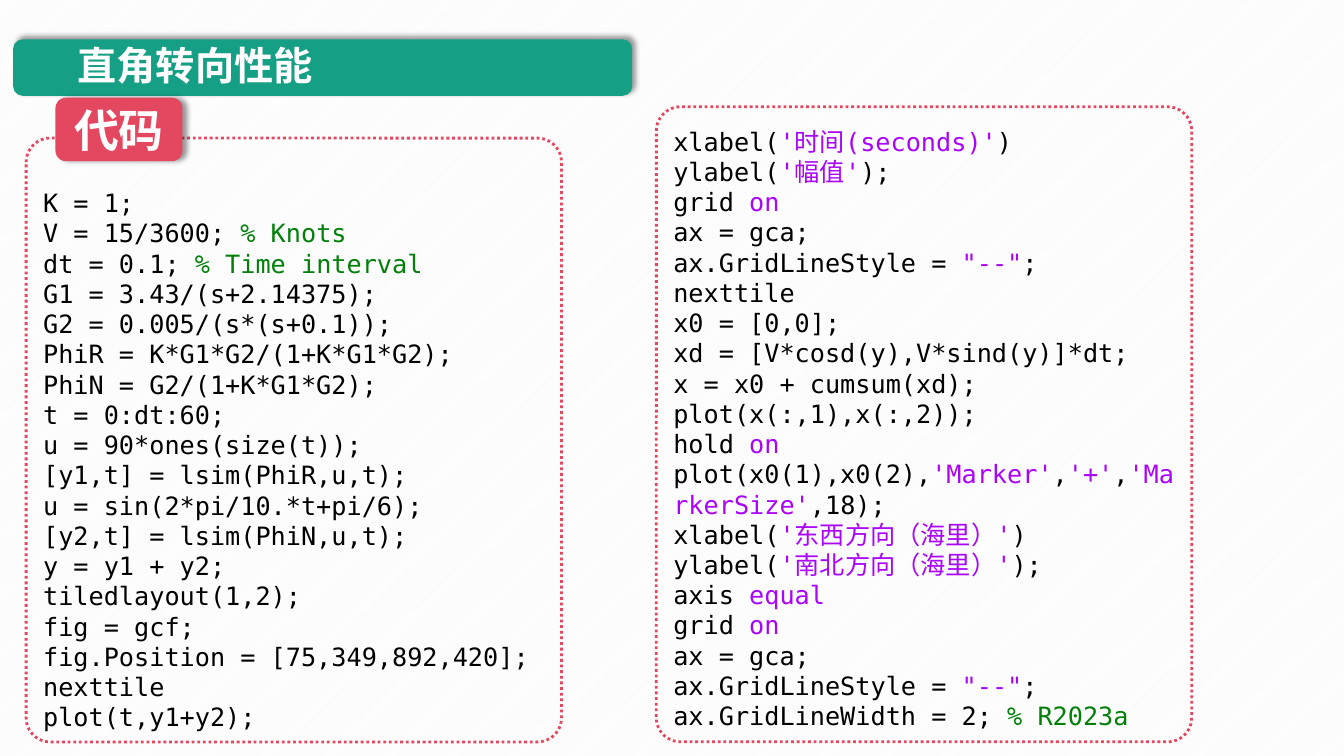
from lxml import etree
from pptx import Presentation
from pptx.dml.color import RGBColor
from pptx.enum.dml import MSO_LINE, MSO_PATTERN
from pptx.enum.shapes import MSO_SHAPE
from pptx.enum.text import MSO_ANCHOR, MSO_AUTO_SIZE, PP_ALIGN
from pptx.oxml import parse_xml
from pptx.oxml.ns import nsdecls, qn
from pptx.util import Inches, Pt

ROUNDED = MSO_SHAPE.ROUNDED_RECTANGLE
DOTTED = MSO_LINE.ROUND_DOT
HATCH = MSO_PATTERN.LIGHT_UPWARD_DIAGONAL
LEFT, CENTER = PP_ALIGN.LEFT, PP_ALIGN.CENTER
TOP, MIDDLE = MSO_ANCHOR.TOP, MSO_ANCHOR.MIDDLE
NO_AUTOFIT = MSO_AUTO_SIZE.NONE

WIDTH, HEIGHT = Inches(13.33), Inches(7.5)
CJK, MONO, SANS = "Noto Sans CJK SC", "DejaVu Sans Mono", "Roboto"
COLORS = {
    "teal": "159F84",
    "red": "E44860",
    "white": "FFFFFF",
    "hatch": "F2F2F2",
    "shadow": "000000",
    "code": "000000",
    "comment": "028009",
    "string": "AA04F9",
}
COMMAND_WORDS = ("on", "equal")

SIMULATION_CODE = """K = 1;
V = 15/3600; |% Knots
dt = 0.1; |% Time interval
G1 = 3.43/(s+2.14375);
G2 = 0.005/(s*(s+0.1));
PhiR = K*G1*G2/(1+K*G1*G2);
PhiN = G2/(1+K*G1*G2);
t = 0:dt:60;
u = 90*ones(size(t));
[y1,t] = lsim(PhiR,u,t);
u = sin(2*pi/10.*t+pi/6);
[y2,t] = lsim(PhiN,u,t);
y = y1 + y2;
tiledlayout(1,2);
fig = gcf;
fig.Position = [75,349,892,420];
nexttile
plot(t,y1+y2);"""

PLOT_CODE = """xlabel(|'时间(seconds)'|)
ylabel(|'幅值'|);
grid |on
ax = gca;
ax.GridLineStyle = |"--"|;
nexttile
x0 = [0,0];
xd = [V*cosd(y),V*sind(y)]*dt;
x = x0 + cumsum(xd);
plot(x(:,1),x(:,2));
hold |on
plot(x0(1),x0(2),|'Marker'|,|'+'|,|'MarkerSize'|,18);
xlabel(|'东西方向（海里）'|)
ylabel(|'南北方向（海里）'|);
axis |equal
grid |on
ax = gca;
ax.GridLineStyle = |"--"|;
ax.GridLineWidth = 2; |% R2023a"""


def rgb(name):
    return RGBColor.from_string(COLORS[name])


def area(left, top, width, height):
    return [int(size * share / 100) for size, share in
            ((WIDTH, left), (HEIGHT, top), (WIDTH, width), (HEIGHT, height))]


def add_run(p, text, size, font, color, bold=False):
    r = p.add_run()
    r.text = text
    r.font.size = Pt(size)
    r.font.name = font
    r.font.bold = bold
    r.font.color.rgb = rgb(color)
    etree.SubElement(r.font._element, qn("a:ea")).set("typeface", CJK)


def format_frame(sp, anchor, top=0.05, bottom=0.05):
    tf = sp.text_frame
    tf.word_wrap = True
    tf.auto_size = NO_AUTOFIT
    tf.vertical_anchor = anchor
    tf.margin_left = tf.margin_right = Inches(0.1)
    tf.margin_top, tf.margin_bottom = Inches(top), Inches(bottom)
    return tf


def add_banner(shapes, box, color, direction):
    sp = shapes.add_shape(ROUNDED, *area(*box))
    sp.fill.solid()
    sp.fill.fore_color.rgb = rgb(color)
    sp.line.fill.background()
    sp._element.spPr.append(parse_xml(
        f'<a:effectLst {nsdecls("a")}><a:outerShdw blurRad="{Pt(4)}" '
        f'dist="{Pt(3)}" dir="{direction * 60000}" algn="ctr" rotWithShape="0">'
        f'<a:srgbClr val="{COLORS["shadow"]}"><a:alpha val="40000"/></a:srgbClr>'
        '</a:outerShdw></a:effectLst>'))
    return sp


def add_title(s, text):
    sp = s.shapes.title
    bar = add_banner(s.shapes, (0.98, 5.2, 46.06, 7.47), "teal", 315)
    sp._element.addprevious(bar._element)
    sp.left, sp.top, sp.width, sp.height = area(5.03, 4.8, 40.81, 7.6)
    p = format_frame(sp, TOP).paragraphs[0]
    p.alignment = LEFT
    add_run(p, text, 28, CJK, "white", True)


def add_tag(shapes, text):
    sp = add_banner(shapes, (4.13, 12.93, 9.45, 8.4), "red", 0)
    p = format_frame(sp, MIDDLE).paragraphs[0]
    p.alignment = CENTER
    add_run(p, text, 32, SANS, "white", True)


def token_color(token):
    if token.startswith("%"):
        return "comment"
    if token[0] in "'\"" or token in COMMAND_WORDS:
        return "string"
    return "code"


def add_code(shapes, box, code, top):
    sp = shapes.add_shape(ROUNDED, *area(*box))
    sp.adjustments[0] = 0.045
    sp.shadow.inherit = False
    sp.fill.background()
    sp.line.color.rgb = rgb("red")
    sp.line.width = Pt(2)
    sp.line.dash_style = DOTTED
    tf = format_frame(sp, TOP, top, 0)
    for i, line in enumerate(code.splitlines()):
        p = tf.add_paragraph() if i else tf.paragraphs[0]
        p.alignment = LEFT
        for token in line.split("|"):
            add_run(p, token, 18, MONO, token_color(token))


def main():
    prs = Presentation()
    prs.slide_width, prs.slide_height = WIDTH, HEIGHT
    s = prs.slides.add_slide(prs.slide_layouts[5])
    fill = s.background.fill
    fill.patterned()
    fill.pattern = HATCH
    fill.fore_color.rgb = rgb("hatch")
    fill.back_color.rgb = rgb("white")
    add_title(s, "直角转向性能")
    group = s.shapes.add_group_shape()
    add_code(group.shapes, (1.95, 18.27, 39.83, 79.87), SIMULATION_CODE, 0.42)
    add_tag(group.shapes, "代码")
    add_code(s.shapes, (48.84, 14.13, 39.83, 84), PLOT_CODE, 0.12)
    prs.save("out.pptx")


if __name__ == "__main__":
    main()
